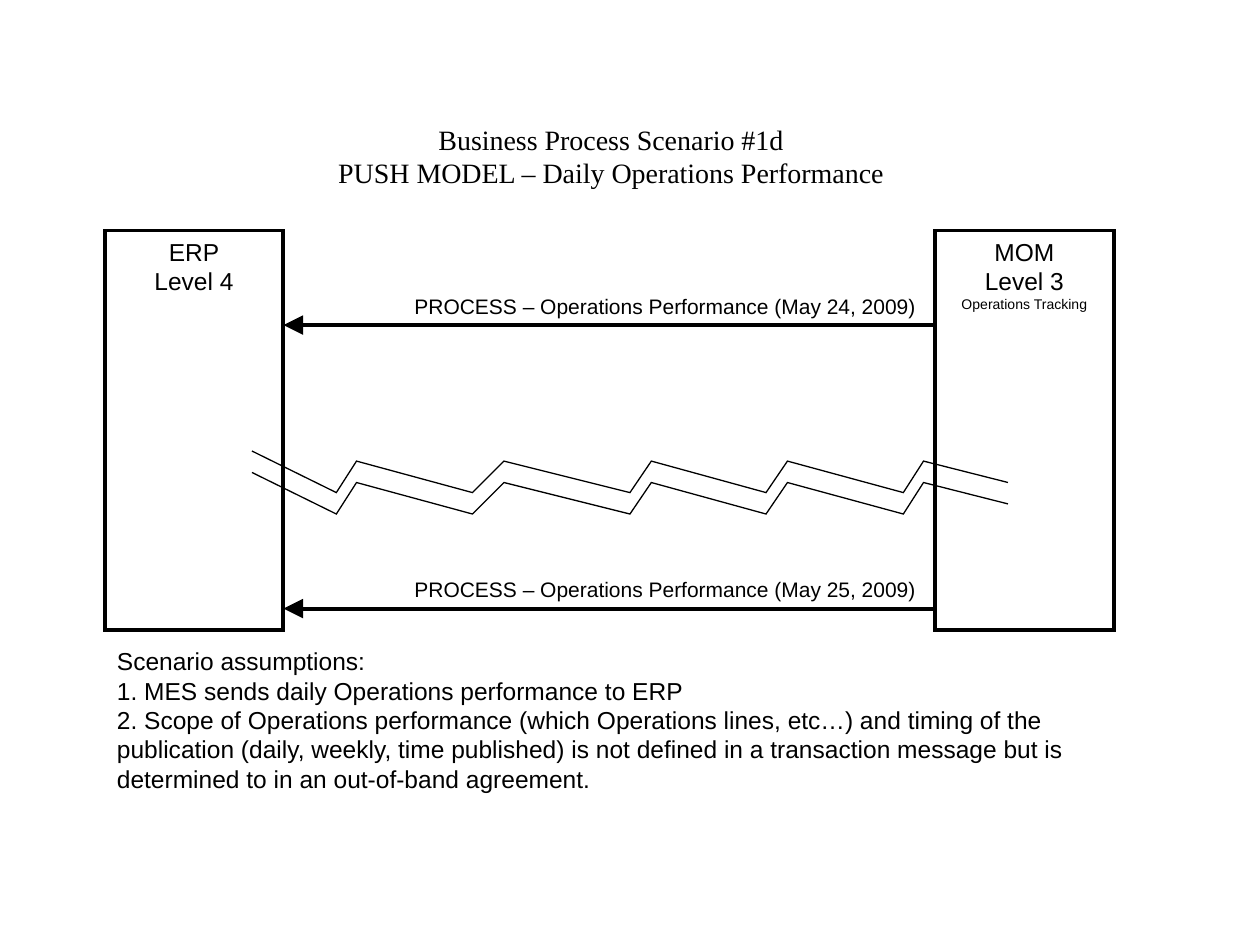
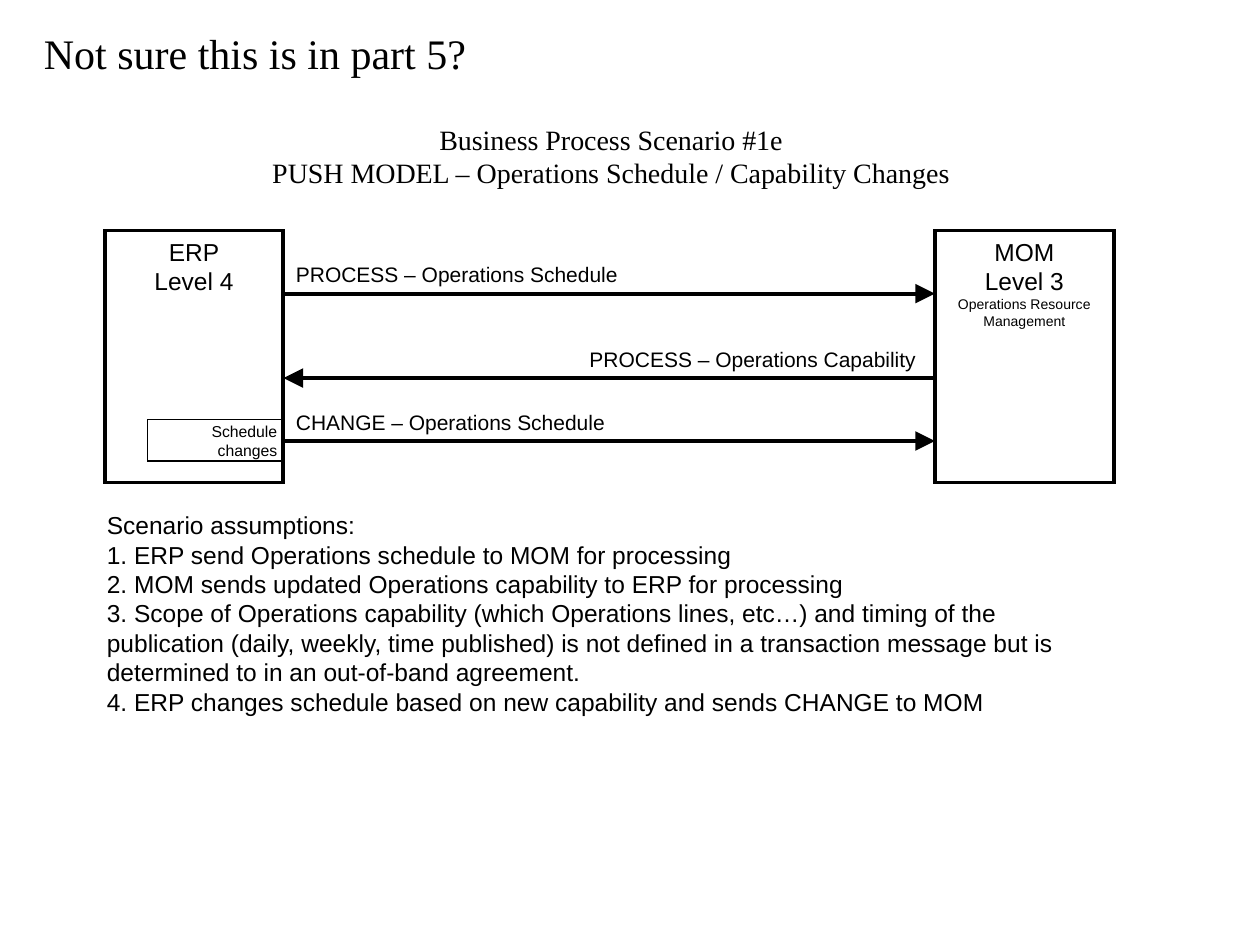
from lxml.etree import SubElement
from pptx import Presentation
from pptx.dml.color import RGBColor
from pptx.enum.shapes import MSO_CONNECTOR, MSO_SHAPE
from pptx.enum.text import MSO_ANCHOR, MSO_AUTO_SIZE, PP_ALIGN
from pptx.oxml.ns import qn
from pptx.util import Inches, Pt

COLORS = {"ink": "000000", "paper": "FFFFFF"}
SANS, SERIF = "Arial", "Times New Roman"
LEFT, CENTER, RIGHT = PP_ALIGN.LEFT, PP_ALIGN.CENTER, PP_ALIGN.RIGHT

ERP_LEFT, MOM_LEFT = 0.83, 7.42
SYSTEM_TOP, SYSTEM_WIDTH = 1.83, 1.42
ERP_EDGE = ERP_LEFT + SYSTEM_WIDTH
TITLE_CENTER, TITLE_TOP, TITLE_HEIGHT = 4.85, 0.92, 0.64
LABEL_HEIGHT, LABEL_GAP = 0.3, 0.05
THICK, THIN = 2.25, 0.75

SCOPE = (
    "Scope of Operations {} (which Operations lines, etc…) and timing of the "
    "publication (daily, weekly, time published) is not defined in a transaction "
    "message but is determined to in an out-of-band agreement."
)

SCENARIOS = [
    {
        "title": ["Business Process Scenario #1d",
                  "PUSH MODEL – Daily Operations Performance"],
        "title_width": 4.64,
        "system_height": 3.17,
        "system_fill": "paper",
        "mom_role": "Operations Tracking",
        "messages": [
            ("PROCESS – Operations Performance (May 24, 2009)", "to ERP", 2.58, 4.28),
            ("PROCESS – Operations Performance (May 25, 2009)", "to ERP", 4.83, 4.28),
        ],
        "assumptions": [
            "Scenario assumptions:",
            "1. MES sends daily Operations performance to ERP",
            "2. " + SCOPE.format("performance"),
        ],
        "assumptions_box": (0.83, 5.08, 8, 1.27),
        "break_tops": [3.58, 3.75],
    },
    {
        "title": ["Business Process Scenario #1e",
                  "PUSH MODEL – Operations Schedule / Capability Changes"],
        "title_width": 5.68,
        "system_height": 2,
        "system_fill": None,
        "mom_role": "Operations Resource Management",
        "messages": [
            ("PROCESS – Operations Schedule", "to MOM", 2.33, 2.85),
            ("PROCESS – Operations Capability", "to ERP", 3, 2.89),
            ("CHANGE – Operations Schedule", "to MOM", 3.5, 2.75),
        ],
        "assumptions": [
            "Scenario assumptions:",
            "1. ERP send Operations schedule to MOM for processing",
            "2. MOM sends updated Operations capability to ERP for processing",
            "3. " + SCOPE.format("capability"),
            "4. ERP changes schedule based on new capability and sends CHANGE to MOM",
        ],
        "assumptions_box": (0.75, 4, 8, 1.92),
        "break_tops": [],
        "erp_step": ["Schedule", "changes"],
        "remark": "Not sure this is in part 5?",
    },
]

BREAK_POINTS = [
    (2, 0), (2.67, 0.33), (2.83, 0.08), (3.75, 0.33), (4, 0.08), (5, 0.33),
    (5.17, 0.08), (6.08, 0.33), (6.25, 0.08), (7.17, 0.33), (7.33, 0.08), (8, 0.25),
]


def color(name):
    return RGBColor.from_string(COLORS[name])


def write(frame, lines, sizes, font=SANS, align=LEFT):
    for index, (line, size) in enumerate(zip(lines, sizes)):
        paragraph = frame.paragraphs[0] if index == 0 else frame.add_paragraph()
        paragraph.text = line
        paragraph.alignment = align
        paragraph.font.size = Pt(size)
        paragraph.font.name = font
        paragraph.font.color.rgb = color("ink")


def add_text(slide, box, lines, size, font=SANS, align=LEFT):
    frame = slide.shapes.add_textbox(*map(Inches, box)).text_frame
    frame.word_wrap = True
    frame.auto_size = MSO_AUTO_SIZE.SHAPE_TO_FIT_TEXT
    write(frame, lines, [size] * len(lines), font, align)


def draw_line(shape, width):
    shape.line.color.rgb = color("ink")
    shape.line.width = Pt(width)
    line = shape.line._get_or_add_ln()
    SubElement(line, qn("a:miter"), lim="800000")
    return line


def outline(shape, width, fill=None):
    shape.shadow.inherit = False
    if fill:
        shape.fill.solid()
        shape.fill.fore_color.rgb = color(fill)
    else:
        shape.fill.background()
    draw_line(shape, width)


def add_box(slide, box, lines, sizes, width, fill=None, align=CENTER):
    shape = slide.shapes.add_shape(MSO_SHAPE.RECTANGLE, *map(Inches, box))
    outline(shape, width, fill)
    frame = shape.text_frame
    frame.word_wrap = True
    frame.vertical_anchor = MSO_ANCHOR.TOP
    write(frame, lines, sizes, align=align)
    return frame


def add_message(slide, label, direction, y, label_width):
    arrow = slide.shapes.add_connector(
        MSO_CONNECTOR.STRAIGHT,
        Inches(ERP_EDGE), Inches(y), Inches(MOM_LEFT), Inches(y))
    to_mom = direction == "to MOM"
    end = "a:tailEnd" if to_mom else "a:headEnd"
    SubElement(draw_line(arrow, THICK), qn(end), type="triangle", w="lg", len="lg")
    SubElement(arrow._element.spPr, qn("a:effectLst"))
    left = ERP_EDGE if to_mom else MOM_LEFT - LABEL_GAP - label_width
    add_text(slide, (left, y - LABEL_HEIGHT, label_width, LABEL_HEIGHT), [label], 12,
             align=LEFT if to_mom else RIGHT)


def add_break_line(slide, top):
    points = [(Inches(x), Inches(top + drop)) for x, drop in BREAK_POINTS]
    builder = slide.shapes.build_freeform(*points[0])
    builder.add_line_segments(points[1:], close=False)
    outline(builder.convert_to_shape(), THIN)


def add_erp_step(slide, lines):
    width, height = 1.08, 0.33
    frame = add_box(slide, (ERP_EDGE - width, 3.33, width, height), lines,
                    [9] * len(lines), THIN, align=RIGHT)
    frame.word_wrap = False
    frame.vertical_anchor = MSO_ANCHOR.MIDDLE
    frame.margin_left = frame.margin_right = Inches(0.05)


def add_scenario(presentation, scenario):
    slide = presentation.slides.add_slide(presentation.slide_layouts[6])
    title_width = scenario["title_width"]
    add_text(slide, (TITLE_CENTER - title_width / 2, TITLE_TOP, title_width, TITLE_HEIGHT),
             scenario["title"], 16, SERIF, CENTER)
    systems = [
        (ERP_LEFT, ["ERP", "Level 4"]),
        (MOM_LEFT, ["MOM", "Level 3", scenario["mom_role"]]),
    ]
    for left, lines in systems:
        add_box(slide, (left, SYSTEM_TOP, SYSTEM_WIDTH, scenario["system_height"]),
                lines, [14, 14, 8], THICK, scenario["system_fill"])
    for message in scenario["messages"]:
        add_message(slide, *message)
    add_text(slide, scenario["assumptions_box"], scenario["assumptions"], 14)
    for top in scenario["break_tops"]:
        add_break_line(slide, top)
    if "erp_step" in scenario:
        add_erp_step(slide, scenario["erp_step"])
    if "remark" in scenario:
        add_text(slide, (0.25, 0.17, 4.17, 0.5), [scenario["remark"]], 24, SERIF)


def main():
    presentation = Presentation()
    presentation.slide_width = Inches(10)
    presentation.slide_height = Inches(7.5)
    for scenario in SCENARIOS:
        add_scenario(presentation, scenario)
    presentation.save("out.pptx")


if __name__ == "__main__":
    main()
